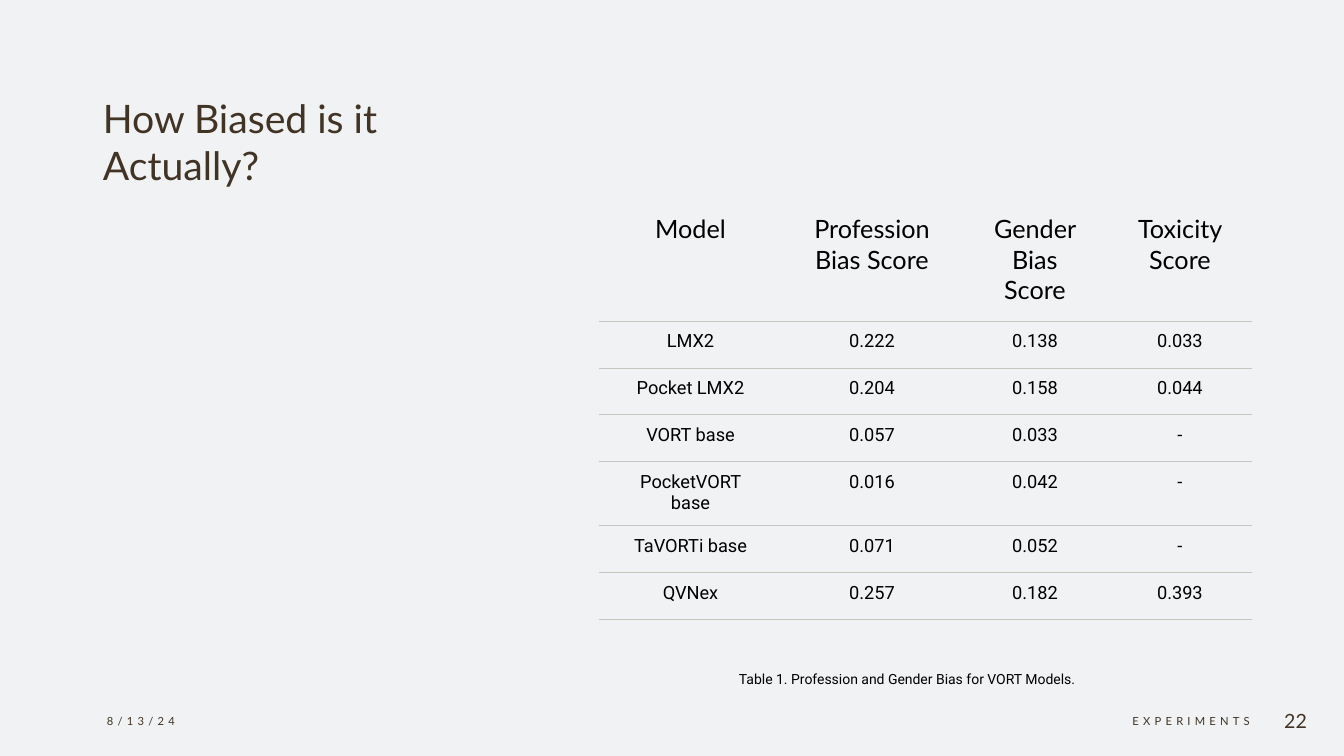
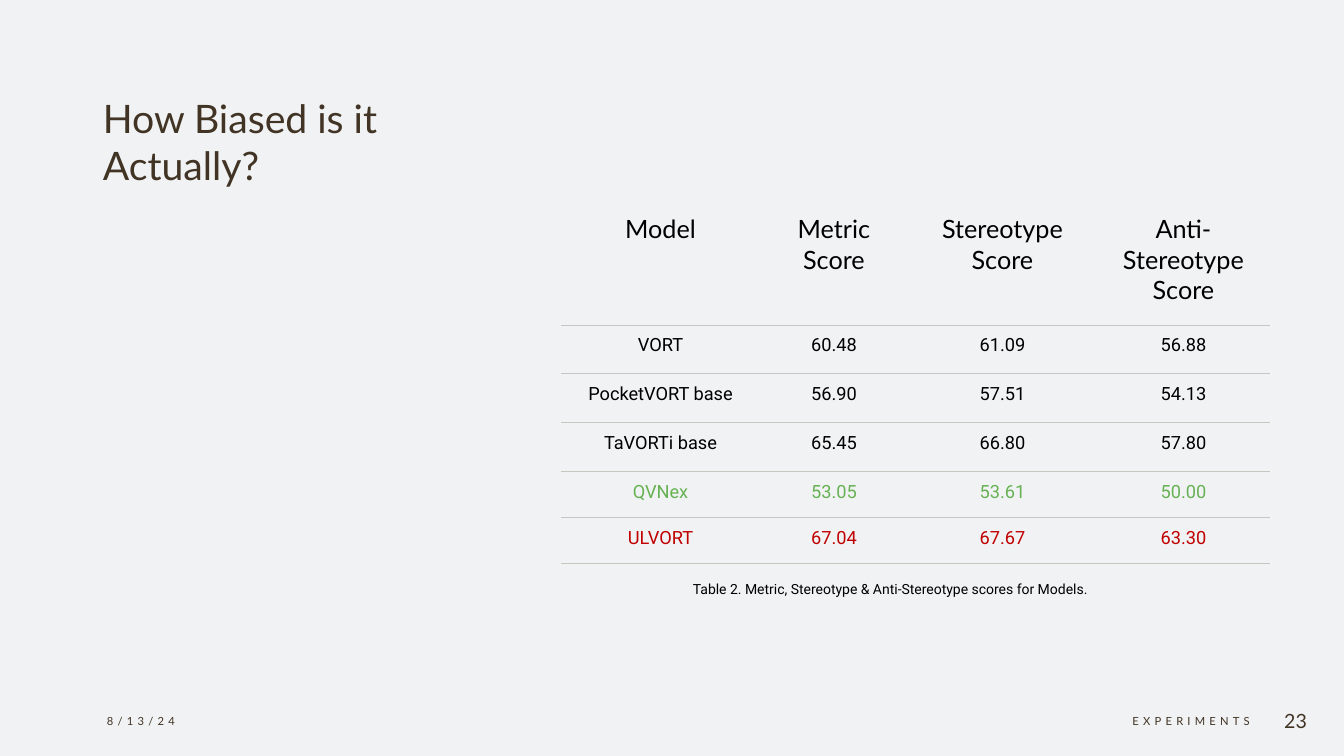
from lxml.etree import SubElement
from pptx import Presentation
from pptx.dml.color import RGBColor
from pptx.enum.text import MSO_ANCHOR as Anchor, PP_ALIGN as Align
from pptx.oxml import parse_xml
from pptx.oxml.ns import nsdecls, qn
from pptx.util import Pt

SCALE = 914400 / 100.8
PAGE = (0, 0, 1344, 756)
HEAD, BODY = "Lato", "Roboto"
INK, BLACK, BACK, RULE = "413424", "000000", "F1F2F4", "C7C6C1"
GREEN, RED = "66B253", "C00000"
NO_STYLE = "{2D5ABB26-0587-4C30-8999-92F81FD0307C}"


def px(num):
    """Turn px into EMU."""
    return round(num * SCALE)


def hue(code):
    """Turn a hex string into a colour."""
    return RGBColor.from_string(code)


def write(frame, text, size, font, color, align=Align.LEFT, gap=0, after=0):
    """Add one styled run to the first paragraph of a text frame."""
    para = frame.paragraphs[0]
    para.alignment = align
    para.space_after = Pt(after)
    run = para.add_run()
    run.text = text
    run.font.size = Pt(size)
    run.font.name = font
    run.font.color.rgb = hue(color)
    if gap:
        run.font._element.set("spc", str(gap * 100))


def label(slide, box, text, size, font, color, anchor=Anchor.TOP, **style):
    """Place a wrapped text box."""
    frame = slide.shapes.add_textbox(*map(px, box)).text_frame
    frame.word_wrap = True
    frame.vertical_anchor = anchor
    write(frame, text, size, font, color, **style)


def footer(slide, box, page):
    """Place date, section and page number in the footer band."""
    left, top, width, high = box
    edge = left + width
    parts = [
        (left, 302, "8/13/24", 8, Align.LEFT, 3),
        (edge - 531, 474, "EXPERIMENTS", 8, Align.RIGHT, 3),
        (edge - 57, 57, str(page), 14, Align.RIGHT, 0),
    ]
    for x, wide, text, size, align, gap in parts:
        label(slide, (x, top, wide, high), text, size, HEAD, INK,
              Anchor.MIDDLE, align=align, gap=gap, after=6)


def rule(cell):
    """Draw the line under a cell."""
    line = parse_xml(f'<a:lnB {nsdecls("a")} w="{Pt(0.75)}"/>')
    fill = SubElement(line, qn("a:solidFill"))
    SubElement(fill, qn("a:srgbClr")).set("val", RULE)
    cell._tc.get_or_add_tcPr().insert(0, line)


def fill_cell(cell, text, size, font, color):
    """Style one cell and write its text."""
    cell.margin_left, cell.margin_right = px(20), px(15)
    cell.margin_top = cell.margin_bottom = px(10)
    cell.fill.background()
    rule(cell)
    write(cell.text_frame, text, size, font, color, Align.CENTER)


def scores(slide, spot, cols, highs, rows, tints):
    """Place a score table with ruled rows."""
    box = (*spot, sum(cols), sum(highs))
    table = slide.shapes.add_table(
        len(rows), len(cols), *map(px, box)).table
    table.first_row = table.horz_banding = False
    table._tbl.tblPr.find(qn("a:tableStyleId")).text = NO_STYLE
    for col, wide in zip(table.columns, cols):
        col.width = px(wide)
    for i, (row, high, texts) in enumerate(zip(table.rows, highs, rows)):
        row.height = px(high)
        size, font = (13, BODY) if i else (18, HEAD)
        color = tints.get(texts[0], BLACK)
        for cell, text in zip(row.cells, texts):
            fill_cell(cell, text, size, font, color)


def build(deck, page, spot, cols, highs, rows, note, box, tints):
    """Add one slide with title, table, caption and footer."""
    slide = deck.slides.add_slide(deck.slide_layouts[6])
    label(slide, (93, 89, 401, 228), "How Biased is it Actually?",
          28, HEAD, INK)
    footer(slide, (97, 701, 1220, 40), page)
    scores(slide, spot, cols, highs, rows, tints)
    label(slide, box, note, 10, BODY, BLACK)


BIAS = [
    ("Model", "Profession Bias Score", "Gender Bias Score", "Toxicity Score"),
    ("LMX2", "0.222", "0.138", "0.033"),
    ("Pocket LMX2", "0.204", "0.158", "0.044"),
    ("VORT base", "0.057", "0.033", "-"),
    ("PocketVORT base", "0.016", "0.042", "-"),
    ("TaVORTi base", "0.071", "0.052", "-"),
    ("QVNex", "0.257", "0.182", "0.393"),
]
STEREO = [
    ("Model", "Metric Score", "Stereotype Score", "Anti-Stereotype Score"),
    ("VORT", "60.48", "61.09", "56.88"),
    ("PocketVORT base", "56.90", "57.51", "54.13"),
    ("TaVORTi base", "65.45", "66.80", "57.80"),
    ("QVNex", "53.05", "53.61", "50.00"),
    ("ULVORT", "67.04", "67.67", "63.30"),
]


def main():
    """Build and save the deck."""
    deck = Presentation()
    deck.slide_width, deck.slide_height = map(px, PAGE[2:])
    back = deck.slide_master.background.fill
    back.solid()
    back.fore_color.rgb = hue(BACK)
    build(deck, 22, (599, 204), (178, 185, 141, 149), [117] + [47] * 6, BIAS,
          "Table 1. Profession and Gender Bias for VORT Models.",
          (729, 666, 398, 27), {})
    build(deck, 23, (561, 204), (194, 153, 184, 178),
          [121, 49, 49, 49, 46, 46], STEREO,
          "Table 2. Metric, Stereotype & Anti-Stereotype scores for Models.",
          (683, 576, 464, 27), {"QVNex": GREEN, "ULVORT": RED})
    deck.save("out.pptx")


if __name__ == "__main__":
    main()
